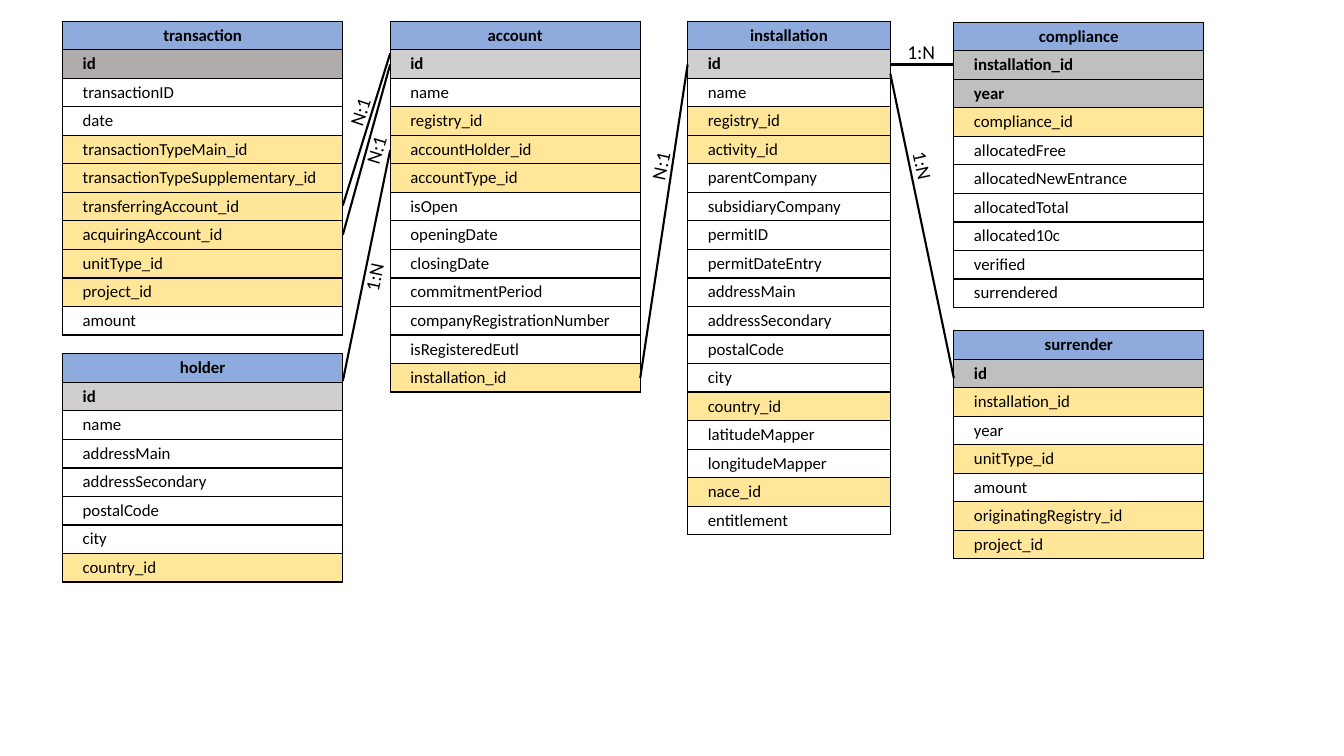
import pptx
import pptx.dml.color
import pptx.enum.shapes
import pptx.enum.text
import pptx.oxml
import pptx.oxml.ns
import pptx.util

ROW = 0.283
LEFT = {"transaction": 0.62, "account": 3.87, "installation": 6.82, "compliance": 9.46}
WIDTH = {"transaction": 2.78, "account": 2.48, "installation": 2.01, "compliance": 2.48}
RIGHT = {name: LEFT[name] + WIDTH[name] for name in LEFT}


def colour(value):
    return pptx.dml.color.RGBColor.from_string(value)


def style_cell(cell, text, fill, bold):
    properties = cell._tc.get_or_add_tcPr()
    for side in ("lnL", "lnR", "lnT", "lnB"):
        properties.append(pptx.oxml.parse_xml(
            f'<a:{side} {pptx.oxml.ns.nsdecls("a")} w="12700"><a:solidFill>'
            f'<a:srgbClr val="000000"/></a:solidFill></a:{side}>'))
    cell.fill.solid()
    cell.fill.fore_color.rgb = colour(fill)
    cell.margin_left = cell.margin_right = pptx.util.Inches(0.2)
    cell.margin_top = cell.margin_bottom = pptx.util.Inches(0.04)
    cell.vertical_anchor = pptx.enum.text.MSO_ANCHOR.MIDDLE
    para = cell.text_frame.paragraphs[0]
    para.text = text
    para.font.name = "Calibri"
    para.font.size = pptx.util.Pt(12)
    para.font.bold = bold
    para.font.color.rgb = colour("000000")


entities = [
    ("transaction", "transaction", 0.21, "AFABAB", 1,
     "id transactionID date transactionTypeMain_id transactionTypeSupplementary_id "
     "transferringAccount_id acquiringAccount_id unitType_id project_id amount"),
    ("account", "account", 0.21, "D0CECE", 1,
     "id name registry_id accountHolder_id accountType_id isOpen openingDate closingDate "
     "commitmentPeriod companyRegistrationNumber isRegisteredEutl installation_id"),
    ("installation", "installation", 0.21, "D0CECE", 1,
     "id name registry_id activity_id parentCompany subsidiaryCompany permitID "
     "permitDateEntry addressMain addressSecondary postalCode city country_id "
     "latitudeMapper longitudeMapper nace_id entitlement"),
    ("holder", "transaction", 3.51, "D0CECE", 1,
     "id name addressMain addressSecondary postalCode city country_id"),
    ("compliance", "compliance", 0.22, "BFBFBF", 2,
     "installation_id year compliance_id allocatedFree allocatedNewEntrance "
     "allocatedTotal allocated10c verified surrendered"),
    ("surrender", "compliance", 3.28, "BFBFBF", 1,
     "id installation_id year unitType_id amount originatingRegistry_id project_id"),
]

relations = [
    (LEFT["account"], 0.64, RIGHT["transaction"], 2.33),
    (LEFT["account"], 0.53, RIGHT["transaction"], 2.04),
    (LEFT["account"], 1.49, RIGHT["transaction"], 3.78),
    (LEFT["installation"], 0.64, RIGHT["account"], 3.75),
    (LEFT["compliance"], 0.64, RIGHT["installation"], 0.64),
    (LEFT["compliance"], 3.75, RIGHT["installation"], 0.73),
]

cardinalities = [
    ("N:1", 3.32, 0.92, 288.2),
    ("N:1", 3.48, 1.3, 286.7),
    ("1:N", 3.46, 2.56, 281.8),
    ("N:1", 6.3, 1.46, 281.8),
    ("1:N", 8.9, 0.35, 0),
    ("1:N", 8.9, 1.49, 77.5),
]

deck = pptx.Presentation()
deck.slide_width = pptx.util.Inches(13.33)
deck.slide_height = pptx.util.Inches(7.5)
page = deck.slides.add_slide(deck.slide_layouts[6])

for name, column, top, key_fill, key_count, field_text in entities:
    fields = field_text.split()
    count = len(fields) + 1
    table = page.shapes.add_table(
        count, 1, pptx.util.Inches(LEFT[column]), pptx.util.Inches(top),
        pptx.util.Inches(WIDTH[column]), pptx.util.Inches(ROW * count)).table
    table.first_row = table.horz_banding = False
    style_cell(table.cell(0, 0), name, "8FAADC", True)
    table.cell(0, 0).text_frame.paragraphs[0].alignment = pptx.enum.text.PP_ALIGN.CENTER
    for index, field in enumerate(fields, 1):
        is_key = index <= key_count
        fill = key_fill if is_key else "FFE699" if field.endswith("_id") else "FFFFFF"
        style_cell(table.cell(index, 0), field, fill, is_key)

for ends in relations:
    line = page.shapes.add_connector(
        pptx.enum.shapes.MSO_CONNECTOR.STRAIGHT, *map(pptx.util.Inches, ends))
    line.line.color.rgb = colour("000000")
    line.line.width = pptx.util.Pt(1.5)
    line._element.spPr.append(
        pptx.oxml.parse_xml(f'<a:effectLst {pptx.oxml.ns.nsdecls("a")}/>'))

for text, left, top, angle in cardinalities:
    box = page.shapes.add_textbox(*map(pptx.util.Inches, (left, top, 0.51, 0.34)))
    box.rotation = angle
    box.text_frame.word_wrap = False
    box.text_frame.auto_size = pptx.enum.text.MSO_AUTO_SIZE.SHAPE_TO_FIT_TEXT
    para = box.text_frame.paragraphs[0]
    para.text = text
    para.font.name = "Calibri"
    para.font.size = pptx.util.Pt(14)
    para.font.color.rgb = colour("000000")

deck.save("out.pptx")
